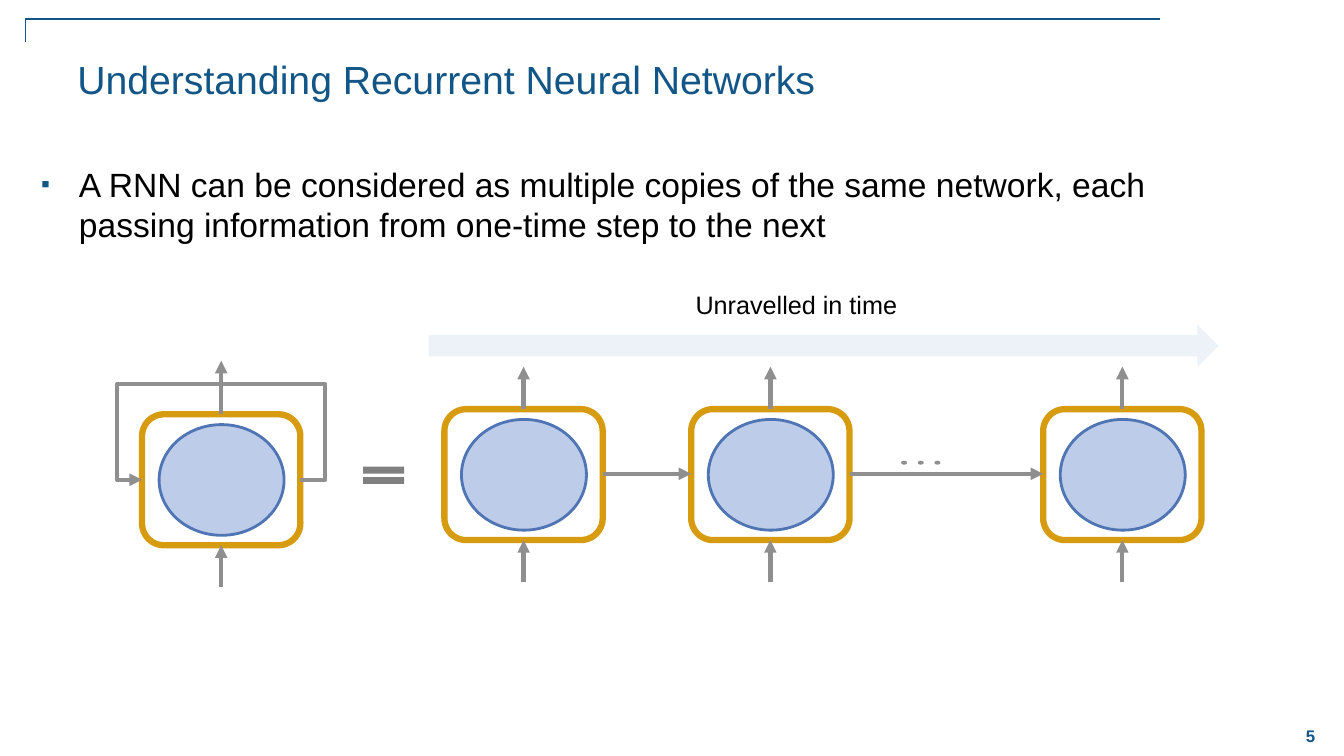
from dataclasses import dataclass

from lxml.etree import SubElement
from pptx import Presentation
from pptx.dml.color import RGBColor
from pptx.enum.shapes import MSO_CONNECTOR as Link, MSO_SHAPE as Preset
from pptx.enum.text import MSO_ANCHOR as Anchor, PP_ALIGN as Align
from pptx.oxml.ns import qn
from pptx.util import Cm, Pt


@dataclass(frozen=True)
class Theme:
    font: str = "Arial"
    accent: str = "125687"
    ink: str = "000000"
    wire: str = "8F8F8F"
    equals: str = "808080"
    cell: str = "D79B10"
    node: str = "BDCDE9"
    node_edge: str = "5075B5"
    time: str = "95B3D7"
    title_size: int = 28
    body_size: int = 24
    label_size: int = 18
    number_size: int = 12
    wire_width: float = 3
    cell_width: float = 4.5
    node_width: float = 2
    frame_width: float = 1


THEME = Theme()
CELL_W, CELL_H = 3.99, 3.3
NODE_W, NODE_H = 3.15, 2.79
INPUT_LENGTH = 1.05
FOLDED_LEFT, FOLDED_TOP = 3.58, 10.44
UNROLLED_LEFTS = (11.2, 17.42, 26.29)
UNROLLED_TOP = 10.31
STEP_Y = 11.94


def rgb(value):
    return RGBColor.from_string(value)


def add_text(slide, text, box, size, color, align=Align.LEFT, anchor=Anchor.TOP,
             bold=False, bullet=False):
    frame = slide.shapes.add_textbox(*map(Cm, box)).text_frame
    frame.word_wrap = True
    frame.vertical_anchor = anchor
    paragraph = frame.paragraphs[0]
    paragraph.text = text
    paragraph.alignment = align
    if bullet:
        add_bullet(paragraph)
    paragraph.font.name = THEME.font
    paragraph.font.size = Pt(size)
    paragraph.font.bold = bold
    paragraph.font.color.rgb = rgb(color)


def add_bullet(paragraph):
    props = paragraph._p.get_or_add_pPr()
    props.set("marL", str(Cm(0.95)))
    props.set("indent", str(-Cm(0.95)))
    color = SubElement(props, qn("a:buClr"))
    SubElement(color, qn("a:srgbClr"), val=THEME.accent)
    SubElement(props, qn("a:buSzPct"), val="75000")
    SubElement(props, qn("a:buFont"), typeface=THEME.font)
    SubElement(props, qn("a:buChar"), char="▪")


def add_preset(slide, preset, box, fill=None, edge=None, width=0):
    shape = slide.shapes.add_shape(preset, *map(Cm, box))
    shape.shadow.inherit = False
    if fill:
        shape.fill.solid()
        shape.fill.fore_color.rgb = rgb(fill)
    else:
        shape.fill.background()
    if edge:
        shape.line.color.rgb = rgb(edge)
        shape.line.width = Pt(width)
    else:
        shape.line.fill.background()
    return shape


def add_arrowhead(line):
    SubElement(line._get_or_add_ln(), qn("a:tailEnd"), type="triangle")


def add_arrow(slide, start, end):
    arrow = slide.shapes.add_connector(Link.STRAIGHT, *map(Cm, (*start, *end)))
    SubElement(arrow._element.spPr, qn("a:effectLst"))
    arrow.line.color.rgb = rgb(THEME.wire)
    arrow.line.width = Pt(THEME.wire_width)
    add_arrowhead(arrow.line)


def add_polyline(slide, points, color, width):
    first, *others = [(Cm(x), Cm(y)) for x, y in points]
    builder = slide.shapes.build_freeform(*first)
    builder.add_line_segments(others, close=False)
    outline = builder.convert_to_shape()
    outline.shadow.inherit = False
    outline.fill.background()
    outline.line.color.rgb = rgb(color)
    outline.line.width = Pt(width)
    return outline


def add_cell(slide, left, top, output_length):
    center, bottom = left + CELL_W / 2, top + CELL_H
    add_preset(slide, Preset.OVAL, (left + 0.43, top + 0.26, NODE_W, NODE_H),
               THEME.node, THEME.node_edge, THEME.node_width)
    add_preset(slide, Preset.ROUNDED_RECTANGLE, (left, top, CELL_W, CELL_H),
               edge=THEME.cell, width=THEME.cell_width)
    add_arrow(slide, (center, bottom + INPUT_LENGTH), (center, bottom))
    add_arrow(slide, (center, top), (center, top - output_length))


def add_folded_network(slide):
    add_cell(slide, FOLDED_LEFT, FOLDED_TOP, output_length=1.35)
    right, middle, reach = FOLDED_LEFT + CELL_W, FOLDED_TOP + CELL_H / 2, 0.63
    loop_top = 9.68
    loop = add_polyline(slide, [
        (right, middle), (right + reach, middle), (right + reach, loop_top),
        (FOLDED_LEFT - reach, loop_top), (FOLDED_LEFT - reach, middle),
        (FOLDED_LEFT, middle)], THEME.wire, THEME.wire_width)
    add_arrowhead(loop.line)


def add_unrolled_network(slide):
    for left in UNROLLED_LEFTS:
        add_cell(slide, left, UNROLLED_TOP, output_length=1.07)
    for left, following in zip(UNROLLED_LEFTS, UNROLLED_LEFTS[1:]):
        add_arrow(slide, (left + CELL_W, STEP_Y), (following, STEP_Y))
    for dot in range(3):
        add_preset(slide, Preset.OVAL, (22.71 + 0.42 * dot, 11.61, 0.15, 0.1),
                   THEME.wire)


def add_time_arrow(slide):
    arrow = add_preset(slide, Preset.RIGHT_ARROW, (10.8, 8.18, 19.91, 1.07), THEME.time)
    color = arrow._element.spPr.find(qn("a:solidFill")).find(qn("a:srgbClr"))
    SubElement(color, qn("a:alpha"), val="16000")
    add_text(slide, "Unravelled in time", (16.54, 7.16, 7.06, 1.02),
             THEME.label_size, THEME.ink, Align.CENTER)


def main():
    deck = Presentation()
    deck.slide_width, deck.slide_height = Cm(33.87), Cm(19.05)
    slide = deck.slides.add_slide(deck.slide_layouts[6])
    add_polyline(slide, [(29.24, 0.48), (0.64, 0.48), (0.64, 1.07)],
                 THEME.accent, THEME.frame_width)
    add_text(slide, "5", (32.18, 18.01, 1.7, 1.07), THEME.number_size, THEME.accent,
             Align.CENTER, Anchor.MIDDLE, bold=True)
    add_text(slide, "Understanding Recurrent Neural Networks",
             (1.7, 1.27, 29.92, 2.74), THEME.title_size, THEME.accent)
    add_text(slide, "A RNN can be considered as multiple copies of the same network, "
             "each passing information from one-time step to the next",
             (0.79, 4.01, 29.92, 13.77), THEME.body_size, THEME.ink, bullet=True)
    add_time_arrow(slide)
    add_folded_network(slide)
    add_preset(slide, Preset.MATH_EQUAL, (8.97, 11.61, 1.4, 0.74), THEME.equals)
    add_unrolled_network(slide)
    deck.save("out.pptx")


if __name__ == "__main__":
    main()
